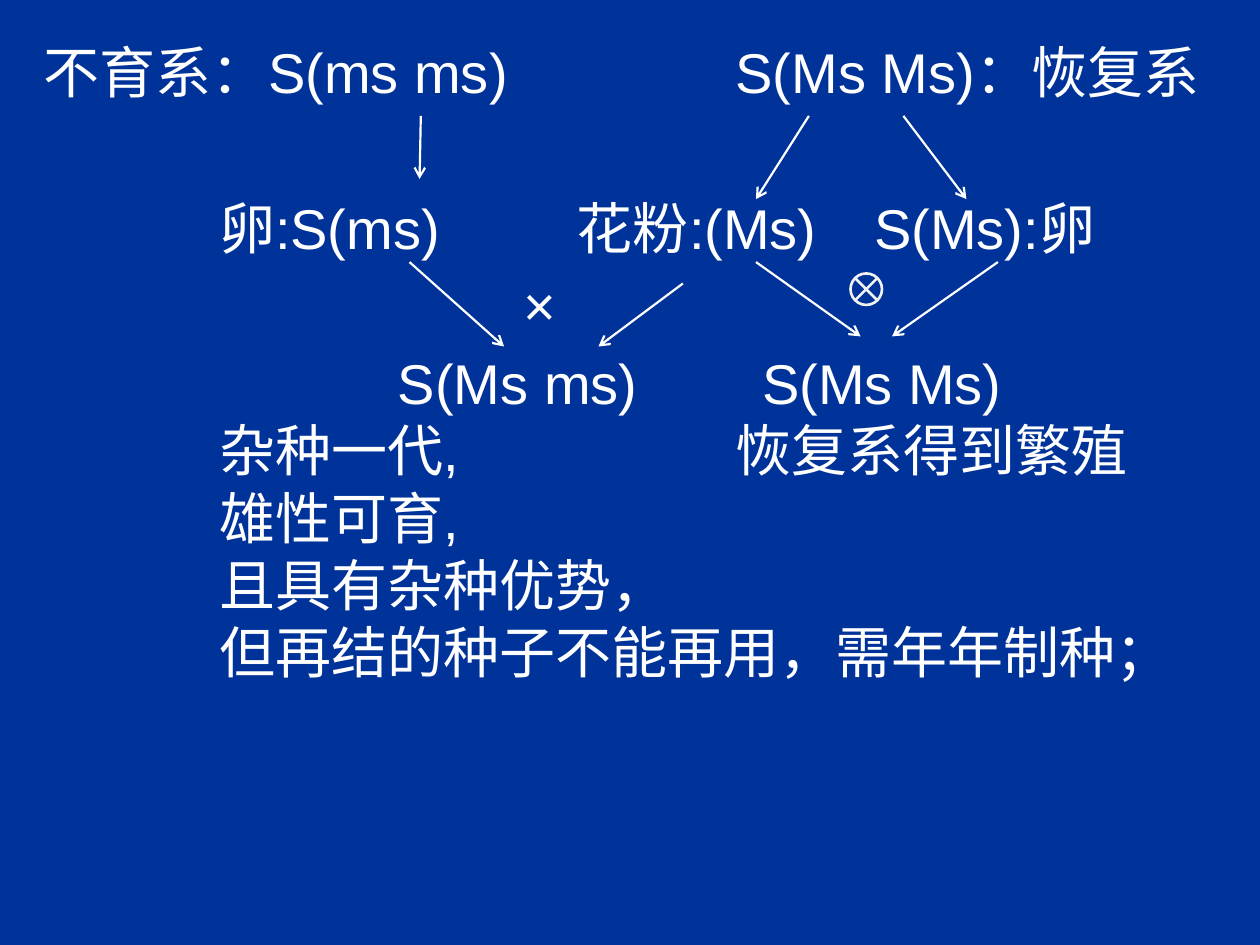
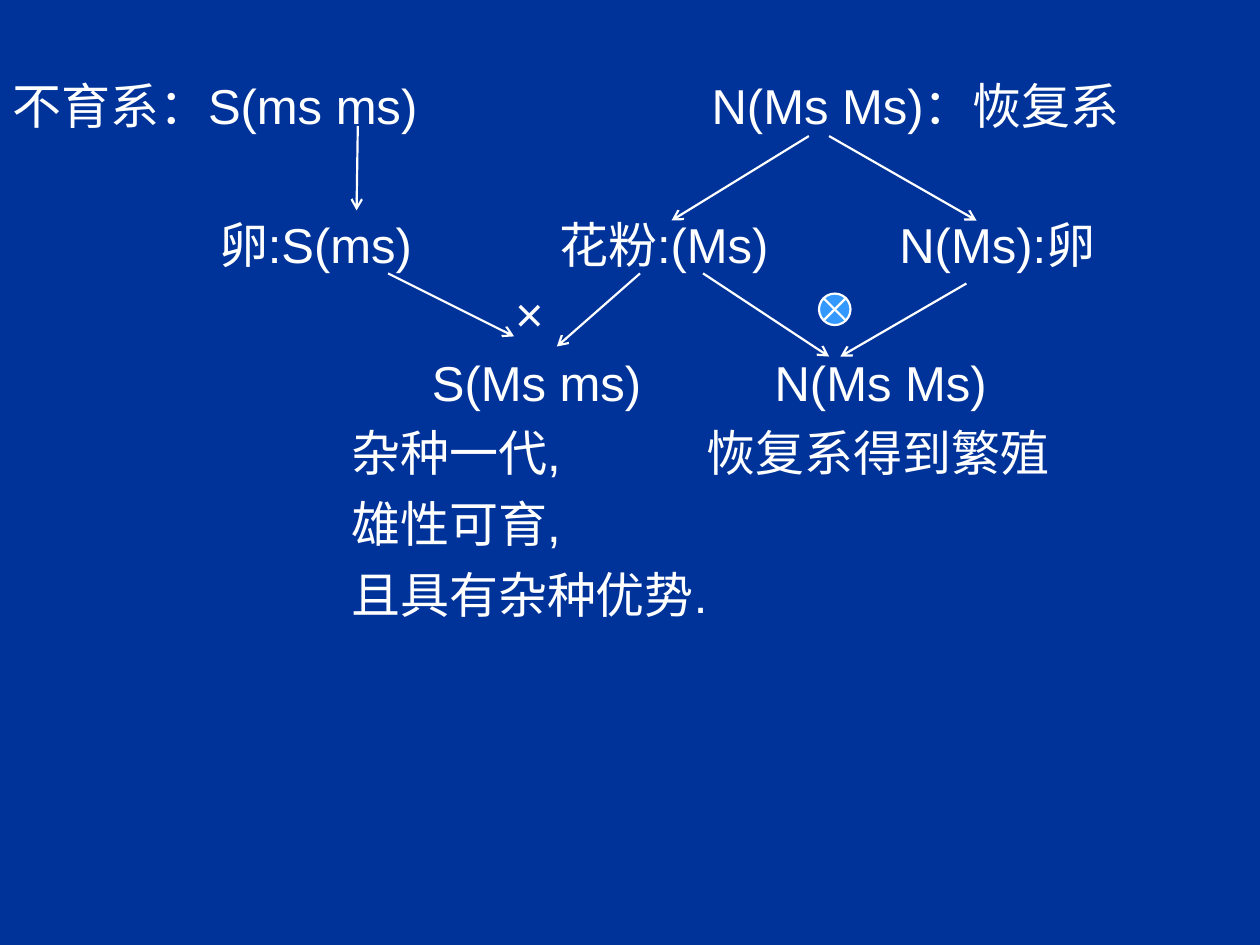
from pptx import Presentation
from pptx.dml.color import RGBColor
from pptx.enum.shapes import MSO_CONNECTOR, MSO_SHAPE
from pptx.oxml.ns import qn
from pptx.util import Inches, Pt
from lxml import etree

BACKGROUND, WHITE, PALE, SKY = "003399", "FFFFFF", "F2F2F2", "3399FF"
FONT = "Arial"
SIDE_MARGIN = 0.1
LINE_HEIGHT = 1.2  # line pitch as a multiple of the text size


def color(hex_string):
    return RGBColor.from_string(hex_string)


# Each row: space before in points, then (distance from slide edge, text) pairs.
# Each arrow: start x, start y, end x, end y.
crosses = [
    {
        "box": (0.25, 0.25, 9.58, 6.42), "top_margin": 0.05, "size": 32,
        "rows": [
            (0, [(0.35, "不育系：S(ms ms)"), (5.84, "S(Ms Ms)：恢复系")]),
            (50.4, [(1.74, "卵:S(ms)"), (4.58, "花粉:(Ms)"), (6.94, "S(Ms):卵")]),
            (6, [(4.16, "×")]),
            (6, [(3.16, "S(Ms ms)"), (6.05, "S(Ms Ms)")]),
            (0, [(1.74, "杂种一代,"), (5.84, "恢复系得到繁殖")]),
            (0, [(1.74, "雄性可育,")]),
            (0, [(1.74, "且具有杂种优势，")]),
            (0, [(1.74, "但再结的种子不能再用，需年年制种；")]),
        ],
        "arrows": [
            (3.34, 0.92, 3.33, 1.42), (6.42, 0.92, 6, 1.58),
            (7.17, 0.92, 7.67, 1.58), (3.25, 2.08, 4, 2.75),
            (5.42, 2.25, 4.75, 2.75), (6, 2.08, 6.83, 2.67),
            (7.92, 2.08, 7.08, 2.67),
        ],
        "selfing": (6.75, 2.17), "fill": None, "outline": (PALE, 1.5),
    },
    {
        "box": (0, 0, 10, 7.5), "top_margin": 0.6, "size": 28,
        "rows": [
            (0, [(0.1, "不育系：S(ms ms)"), (5.65, "N(Ms Ms)：恢复系")]),
            (45.6, [(1.74, "卵:S(ms)"), (4.44, "花粉:(Ms)"), (7.14, "N(Ms):卵")]),
            (6, [(4.09, "×")]),
            (6, [(3.43, "S(Ms ms)"), (6.15, "N(Ms Ms)")]),
            (6, [(2.79, "杂种一代,"), (5.61, "恢复系得到繁殖")]),
            (7, [(2.79, "雄性可育,")]),
            (7, [(2.79, "且具有杂种优势.")]),
        ],
        "arrows": [
            (2.84, 1, 2.83, 1.67), (6.42, 1.08, 5.33, 1.75),
            (6.58, 1.08, 7.75, 1.75), (3.08, 2.17, 4.08, 2.67),
            (5.08, 2.17, 4.42, 2.75), (5.58, 2.17, 6.58, 2.83),
            (7.67, 2.25, 6.67, 2.83),
        ],
        "selfing": (6.5, 2.33), "fill": SKY, "outline": (WHITE, 1.25),
    },
]

presentation = Presentation()
presentation.slide_width = Inches(10)
presentation.slide_height = Inches(7.5)

for cross in crosses:
    slide = presentation.slides.add_slide(presentation.slide_layouts[6])
    slide.background.fill.solid()
    slide.background.fill.fore_color.rgb = color(BACKGROUND)

    # Genotypes and results, aligned with tab stops
    text_box = slide.shapes.add_textbox(*map(Inches, cross["box"]))
    frame = text_box.text_frame
    frame.word_wrap = True
    frame.margin_left = frame.margin_right = Inches(SIDE_MARGIN)
    frame.margin_top = Inches(cross["top_margin"])
    text_left = cross["box"][0] + SIDE_MARGIN
    for index, (space_before, cells) in enumerate(cross["rows"]):
        paragraph = frame.add_paragraph() if index else frame.paragraphs[0]
        tab_list = etree.SubElement(paragraph._p.get_or_add_pPr(), qn("a:tabLst"))
        for position, text in cells:
            offset = position - text_left
            if offset > 0.01:
                etree.SubElement(tab_list, qn("a:tab"), pos=str(Inches(offset)), algn="l")
                text = "\t" + text
            run = paragraph.add_run()
            run.text = text
            run.font.name = FONT
            run.font.size = Pt(cross["size"])
            run.font.color.rgb = color(WHITE)
        paragraph.space_before = Pt(space_before)
        paragraph.line_spacing = Pt(cross["size"] * LINE_HEIGHT)

    # Arrows from parents to gametes and from gametes to offspring
    for ends in cross["arrows"]:
        arrow = slide.shapes.add_connector(MSO_CONNECTOR.STRAIGHT, *map(Inches, ends))
        arrow.line.color.rgb = color(WHITE)
        arrow.line.width = Pt(1.25)
        etree.SubElement(arrow.line._get_or_add_ln(), qn("a:tailEnd"), type="arrow")
        etree.SubElement(arrow._element.spPr, qn("a:effectLst"))

    # Selfing symbol
    left, top = cross["selfing"]
    symbol = slide.shapes.add_shape(
        MSO_SHAPE.FLOWCHART_SUMMING_JUNCTION,
        Inches(left), Inches(top), Inches(0.25), Inches(0.25))
    symbol.shadow.inherit = False
    if cross["fill"]:
        symbol.fill.solid()
        symbol.fill.fore_color.rgb = color(cross["fill"])
    else:
        symbol.fill.background()
    outline_color, outline_width = cross["outline"]
    symbol.line.color.rgb = color(outline_color)
    symbol.line.width = Pt(outline_width)

presentation.save("out.pptx")
